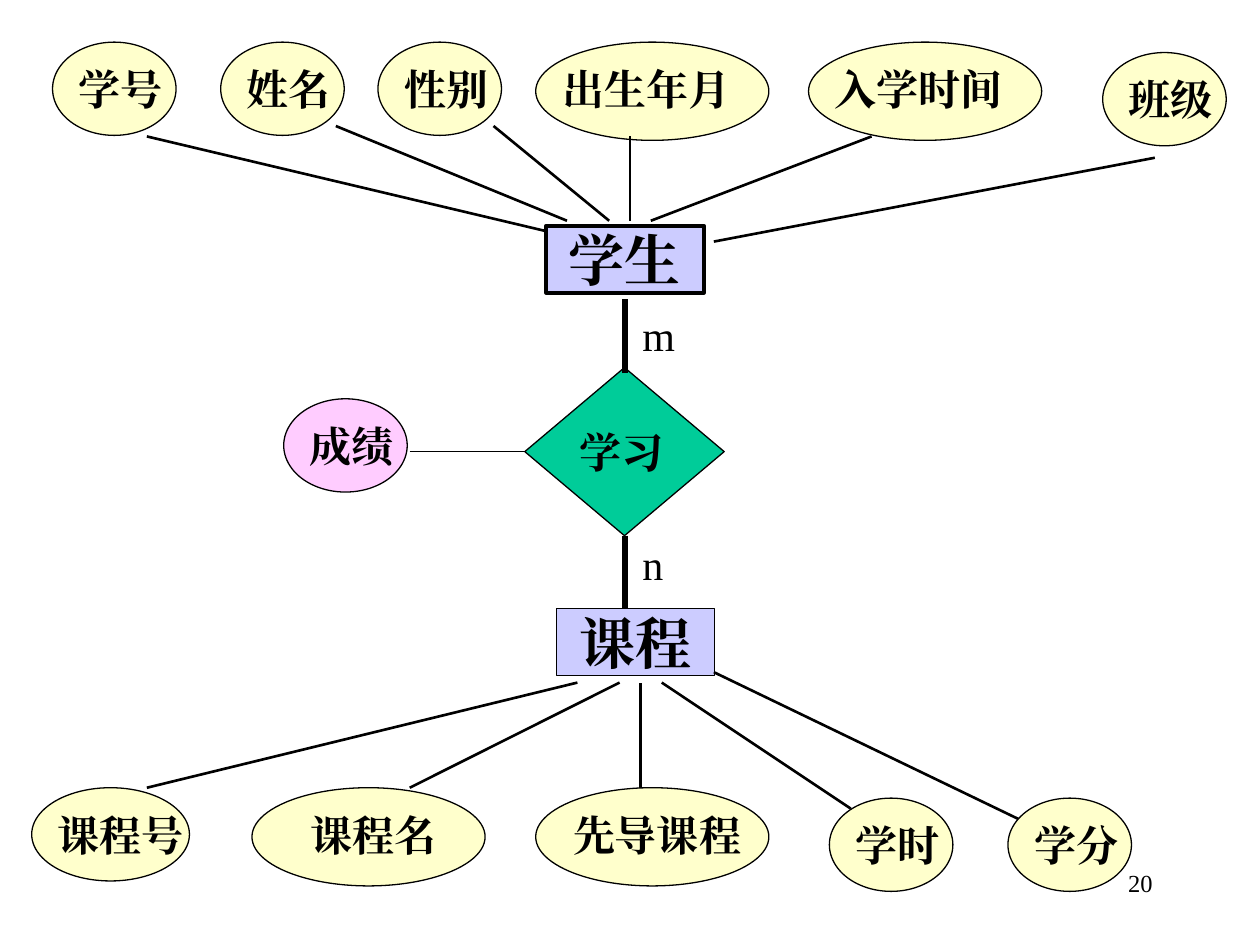
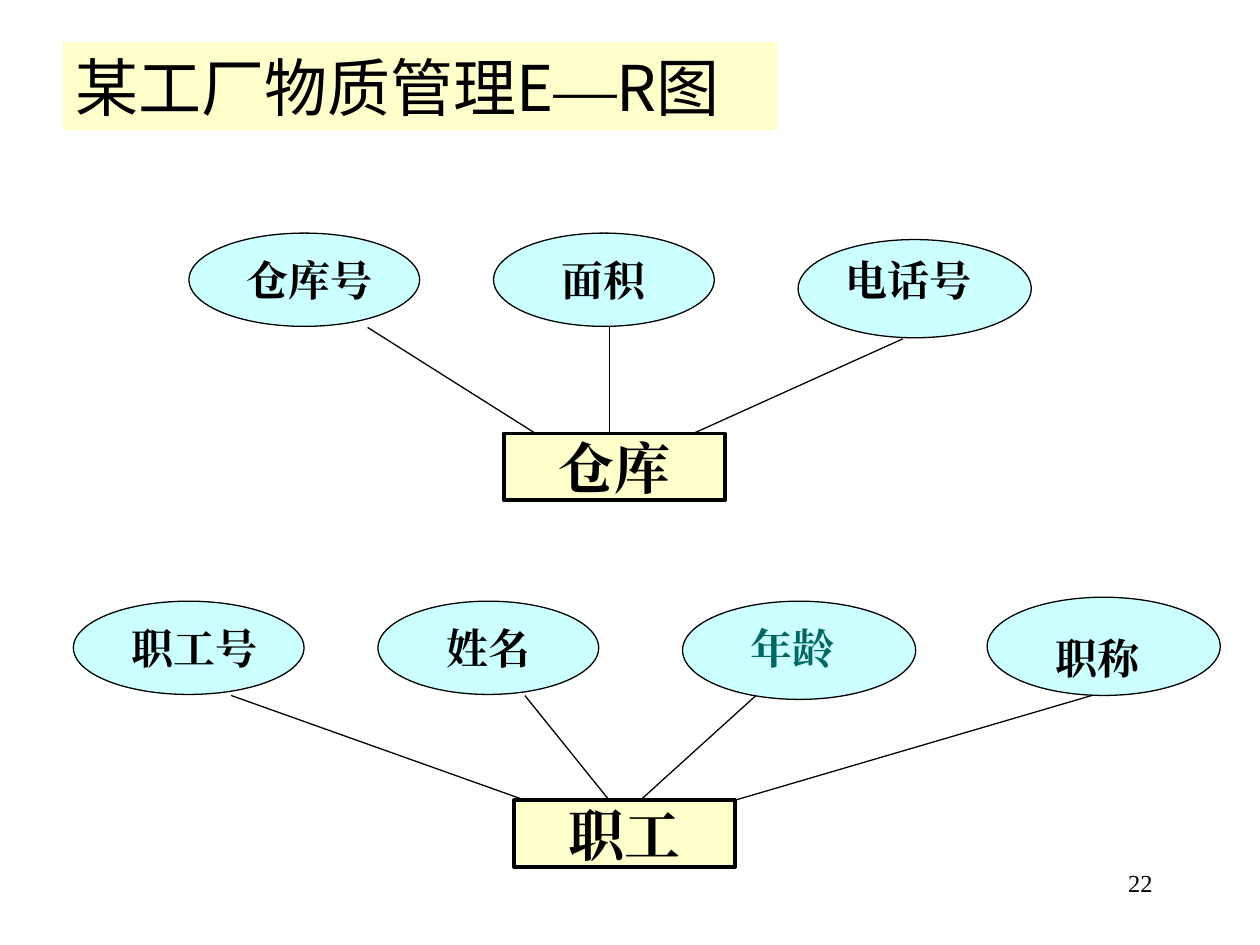
from pptx import Presentation
from pptx.dml.color import RGBColor
from pptx.enum import shapes, text
from pptx.oxml.ns import qn
from pptx.util import Cm, Pt
from lxml import etree

SERIF, SANS = "Times New Roman", "Noto Sans CJK SC"
BLACK, YELLOW, LILAC, PINK, CYAN, GREEN, TEAL = (
    "000000", "FFFFCC", "CCCCFF", "FFCCFF", "CCFFFF", "00CC99", "006666")
LEFT, CENTER, RIGHT = text.PP_ALIGN.LEFT, text.PP_ALIGN.CENTER, text.PP_ALIGN.RIGHT
PADDING = (0.25, 0.13)
LABEL_DROP, LABEL_HEIGHT, ENTITY_HEIGHT = 0.43, 1.02, 1.35

# kind: ellipse width, ellipse height, label indent, label width
OVALS = {
    "small": (2.49, 1.88, 0.42, 1.91),
    "code": (3.18, 1.88, 0.21, 3.18),
    "wide": (4.7, 1.98, 0.42, 3.61),
    "course": (4.7, 1.98, 0.64, 3.61),
    "number": (4.65, 1.88, 0.85, 3.18),
    "short": (4.45, 1.88, 1.27, 1.91),
}

# name, kind, left, top, line from the ellipse to the entity, optional format
STUDENT = {
    "entity": ("学生", 11.01, 4.55, 3.18, LILAC, 2.25), "fill": YELLOW, "line": 1.5,
    "attributes": [
        ("学号", "small", 1.06, 0.85, (2.96, 2.75, 11.01, 4.66), {}),
        ("姓名", "small", 4.45, 0.85, (6.77, 2.54, 11.43, 4.45), {}),
        ("性别", "small", 7.62, 0.85, (9.95, 2.54, 12.28, 4.45), {}),
        ("出生年月", "wide", 10.8, 0.85, (12.7, 2.75, 12.7, 4.45), {}),
        ("入学时间", "wide", 16.3, 0.85, (17.57, 2.75, 13.12, 4.45), {}),
        ("班级", "small", 22.23, 1.06, (23.28, 3.18, 14.39, 4.87), {}),
    ],
}
COURSE = {
    "entity": ("课程", 11.22, 12.27, 3.18, LILAC, 0.75), "fill": YELLOW, "line": 1.5,
    "attributes": [
        ("课程号", "code", 0.64, 15.88, (2.96, 15.88, 11.64, 13.76), {}),
        ("课程名", "course", 5.08, 15.88, (8.26, 15.88, 12.49, 13.76), {}),
        ("先导课程", "course", 10.8, 15.88, (12.91, 15.88, 12.91, 13.76), {}),
        ("学时", "small", 16.72, 16.09, (17.15, 16.3, 13.34, 13.76), {}),
        ("学分", "small", 20.32, 16.09, (20.53, 16.51, 14.39, 13.55), {}),
    ],
}
WAREHOUSE = {
    "entity": ("仓库", 10.16, 8.74, 4.45, YELLOW, 2.25), "fill": CYAN, "line": 0.75,
    "attributes": [
        ("仓库号", "number", 3.81, 4.7, (7.41, 6.6, 10.8, 8.74), {}),
        ("面积", "short", 9.95, 4.7, (12.28, 6.6, 12.28, 8.74), {}),
        ("电话号", "wide", 16.09, 4.83, (18.2, 6.83, 13.97, 8.74), {"drop": 0.3}),
    ],
}
EMPLOYEE = {
    "entity": ("职工", 10.37, 16.13, 4.45, YELLOW, 2.25), "fill": CYAN, "line": 0.75,
    "attributes": [
        ("职工号", "number", 1.48, 12.12, (4.66, 14.02, 10.58, 16.13), {}),
        ("姓名", "short", 7.62, 12.12, (10.58, 14.02, 12.28, 16.13), {}),
        ("年龄", "wide", 13.76, 12.12, (15.24, 14.02, 12.91, 16.13), {"color": TEAL}),
        ("职称", "wide", 19.9, 12.04, (22.01, 14.02, 14.82, 16.13), {"drop": 0.71}),
    ],
}
SCORE = ("成绩", "small", 5.72, 8.04, (8.26, 9.1, 10.58, 9.1), {})
RELATION = ("学习", (10.58, 7.41, 4.02, 3.39), (11.43, 8.47, 2.54, 1.27))
CARDINALITIES = [
    ("m", 6.12, (12.6, 7.52, 12.6, 6.02)),
    ("n", 10.72, (12.6, 10.8, 12.6, 12.27)),
]
TITLE = [("某工厂物质管理E", SANS), ("—", SERIF), ("R图", SANS)]


def rgb(value):
    return RGBColor.from_string(value)


def cm(values):
    return [Cm(value) for value in values]


def write(shape, runs, size, bold=False, color=BLACK, align=CENTER,
          padding=(0, 0), anchor=text.MSO_ANCHOR.MIDDLE):
    side, end = cm(padding)
    frame = shape.text_frame
    layout = {"word_wrap": True, "auto_size": text.MSO_AUTO_SIZE.NONE,
              "vertical_anchor": anchor, "margin_left": side, "margin_right": side,
              "margin_top": end, "margin_bottom": end}
    for name, value in layout.items():
        setattr(frame, name, value)
    paragraph = frame.paragraphs[0]
    paragraph.alignment = align
    for words, family in runs:
        run = paragraph.add_run()
        run.text = words
        for name, value in {"size": Pt(size), "bold": bold, "name": family}.items():
            setattr(run.font, name, value)
        run.font.color.rgb = rgb(color)
        east_asian = etree.Element(qn("a:ea"), typeface=family)
        run.font._element.find(qn("a:latin")).addnext(east_asian)


def add_label(slide, box, words, size=24, **style):
    write(slide.shapes.add_textbox(*cm(box)), [(words, SERIF)], size, **style)


def add_figure(slide, kind, box, fill, width=0.75):
    shape = slide.shapes.add_shape(kind, *cm(box))
    shape.shadow.inherit = False
    shape.fill.solid()
    shape.fill.fore_color.rgb = rgb(fill)
    shape.line.color.rgb = rgb(BLACK)
    shape.line.width = Pt(width)
    return shape


def add_line(slide, ends, width):
    line = slide.shapes.add_connector(shapes.MSO_CONNECTOR.STRAIGHT, *cm(ends))
    line.line.color.rgb = rgb(BLACK)
    line.line.width = Pt(width)
    etree.SubElement(line._element.spPr, qn("a:effectLst"))


def add_attribute(slide, attribute, fill, line_width):
    name, kind, left, top, ends, extra = attribute
    width, height, indent, label_width = OVALS[kind]
    add_figure(slide, shapes.MSO_SHAPE.OVAL, (left, top, width, height), fill)
    label_top = top + extra.get("drop", LABEL_DROP)
    add_label(slide, (left + indent, label_top, label_width, LABEL_HEIGHT), name,
              bold=True, color=extra.get("color", BLACK))
    add_line(slide, ends, line_width)


def add_entity(slide, group):
    name, left, top, width, fill, border = group["entity"]
    box = (left, top, width, ENTITY_HEIGHT)
    shape = add_figure(slide, shapes.MSO_SHAPE.RECTANGLE, box, fill, border)
    write(shape, [(name, SERIF)], 32, bold=True)
    for attribute in group["attributes"]:
        add_attribute(slide, attribute, group["fill"], group["line"])


def add_diagram(presentation, layout, number, groups):
    slide = presentation.slides.add_slide(presentation.slide_layouts[layout])
    add_label(slide, (18.2, 17.36, 5.29, 1.27), number, 14, align=RIGHT,
              padding=PADDING, anchor=text.MSO_ANCHOR.TOP)
    for group in groups:
        add_entity(slide, group)
    return slide


def add_relation(slide):
    name, diamond, label = RELATION
    add_figure(slide, shapes.MSO_SHAPE.DIAMOND, diamond, GREEN)
    add_label(slide, label, name, bold=True, align=LEFT, padding=PADDING)
    add_attribute(slide, SCORE, PINK, 0.75)
    for letter, top, ends in CARDINALITIES:
        add_line(slide, ends, 3)
        add_label(slide, (12.7, top, 1.59, 1.27), letter, align=LEFT, padding=PADDING)


def set_title(slide):
    title = slide.shapes.title
    title.left, title.top, title.width, title.height = cm((1.27, 0.85, 14.39, 1.78))
    title.fill.solid()
    title.fill.fore_color.rgb = rgb(YELLOW)
    write(title, TITLE, 36, align=LEFT, padding=PADDING)


def main():
    presentation = Presentation()
    presentation.slide_width, presentation.slide_height = cm((25.4, 19.05))
    add_relation(add_diagram(presentation, 6, "20", [STUDENT, COURSE]))
    set_title(add_diagram(presentation, 5, "22", [WAREHOUSE, EMPLOYEE]))
    presentation.save("out.pptx")


if __name__ == "__main__":
    main()
